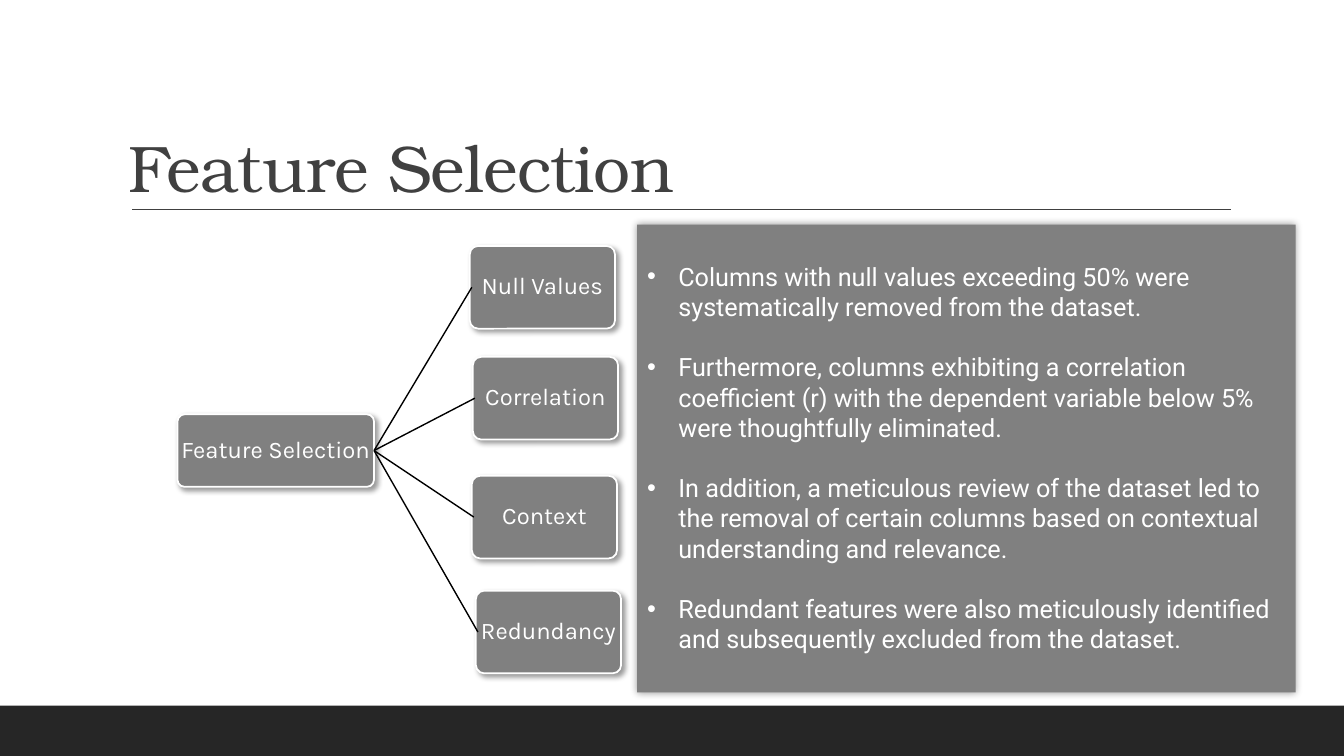
from lxml.etree import SubElement
from pptx import Presentation
from pptx.dml.color import RGBColor
from pptx.enum.shapes import MSO_CONNECTOR, MSO_SHAPE
from pptx.enum.text import MSO_ANCHOR, PP_ALIGN
from pptx.oxml.ns import qn
from pptx.util import Emu, Inches, Pt

HUES = {"ink": "404040", "bar": "262626", "grey": "808080",
        "white": "FFFFFF", "black": "000000"}

ROOT = ("Feature Selection", (1.76, 4.11, 1.95, 0.72))
STEPS = [("Null Values", 4.66, 2.44), ("Correlation", 4.69, 3.54),
         ("Context", 4.68, 4.72), ("Redundancy", 4.72, 5.86)]
STEP_SIZE = (1.44, 0.82)
POINTS = [
    "Columns with null values exceeding 50% were systematically removed from the dataset.",
    "Furthermore, columns exhibiting a correlation coefficient (r) with the dependent "
    "variable below 5% were thoughtfully eliminated.",
    "In addition, a meticulous review of the dataset led to the removal of certain "
    "columns based on contextual understanding and relevance.",
    "Redundant features were also meticulously identified and subsequently excluded "
    "from the dataset.",
]


def hue(name):
    return RGBColor.from_string(HUES[name])


def style(font, face, size, color):
    font.name, font.size = face, Pt(size)
    font.color.rgb = hue(color)


def block(slide, kind, box, fill):
    shape = slide.shapes.add_shape(kind, *map(Inches, box))
    shape.shadow.inherit = False
    shape.fill.solid()
    shape.fill.fore_color.rgb = hue(fill)
    shape.line.fill.background()
    return shape


def shade(shape, blur, dist, angle):
    effects = shape._element.spPr.find(qn("a:effectLst"))
    outer = SubElement(effects, qn("a:outerShdw"), blurRad=str(Pt(blur)),
                       dist=str(Pt(dist)), dir=str(angle * 60000),
                       algn="ctr", rotWithShape="0")
    color = SubElement(outer, qn("a:srgbClr"), val=HUES["black"])
    SubElement(color, qn("a:alpha"), val="40000")


def rule(slide, start, end, color):
    line = slide.shapes.add_connector(
        MSO_CONNECTOR.STRAIGHT, *map(Inches, start + end))
    line.line.color.rgb = hue(color)
    line.line.width = Pt(1)
    SubElement(line._element.spPr, qn("a:effectLst"))


def head(slide, box):
    left, top, width, height = box
    title = slide.shapes.title
    title.left, title.top, title.width, title.height = map(Inches, box)
    frame = title.text_frame
    frame.text = "Feature Selection"
    frame.word_wrap = True
    frame.vertical_anchor = MSO_ANCHOR.BOTTOM
    para = frame.paragraphs[0]
    para.alignment = PP_ALIGN.LEFT
    para.line_spacing = 0.9
    run = para.runs[0]
    style(run.font, "TeX Gyre Bonum", 47, "ink")
    run._r.get_or_add_rPr().set("spc", "-50")
    # Line under the title
    low = top + height - 0.02
    rule(slide, (left + 0.14, low), (left + width + 0.04, low), "ink")


def node(slide, label, box):
    shape = block(slide, MSO_SHAPE.ROUNDED_RECTANGLE, box, "grey")
    shape.adjustments[0] = 0.1
    shape.line.color.rgb = hue("white")
    shape.line.width = Pt(1.25)
    shade(shape, 4, 3, 45)
    frame = shape.text_frame
    frame.text = label
    frame.word_wrap = True
    frame.vertical_anchor = MSO_ANCHOR.MIDDLE
    frame.margin_left = frame.margin_right = Inches(0.01)
    frame.margin_top = frame.margin_bottom = Inches(0.01)
    para = frame.paragraphs[0]
    para.alignment = PP_ALIGN.CENTER
    para.line_spacing = 0.9
    style(para.runs[0].font, "Karla", 17, "white")


def tree(slide):
    label, root = ROOT
    node(slide, label, root)
    left, top, width, height = root
    start = (left + width, top + height / 2)
    for label, x, y in STEPS:
        node(slide, label, (x, y) + STEP_SIZE)
        rule(slide, start, (x + 0.02, y + STEP_SIZE[1] / 2), "black")


def panel(slide, box):
    shape = block(slide, MSO_SHAPE.RECTANGLE, box, "grey")
    shade(shape, 5, 0, 0)
    frame = shape.text_frame
    frame.word_wrap = True
    frame.vertical_anchor = MSO_ANCHOR.TOP
    frame.margin_top = Inches(0.36)
    frame.text = "\n".join(POINTS)
    for num, para in enumerate(frame.paragraphs):
        para.alignment = PP_ALIGN.LEFT
        if num:
            para.space_before = Pt(21.5)
        props = para._p.get_or_add_pPr()
        props.set("marL", str(Inches(0.31)))
        props.set("indent", str(Emu(-Inches(0.31))))
        SubElement(props, qn("a:buFont"), typeface="Arial")
        SubElement(props, qn("a:buChar"), char="•")
        style(para.runs[0].font, "Roboto", 18, "white")


def main():
    deck = Presentation()
    deck.slide_width, deck.slide_height = Inches(13.33), Inches(7.5)
    slide = deck.slides.add_slide(deck.slide_layouts[5])
    # Footer bar
    block(slide, MSO_SHAPE.RECTANGLE, (0, 7, 13.33, 0.5), "bar")
    # Title, findings and selection tree
    head(slide, (1.17, 0.51, 11, 1.59))
    panel(slide, (6.32, 2.23, 6.53, 4.64))
    tree(slide)
    deck.save("out.pptx")


if __name__ == "__main__":
    main()
